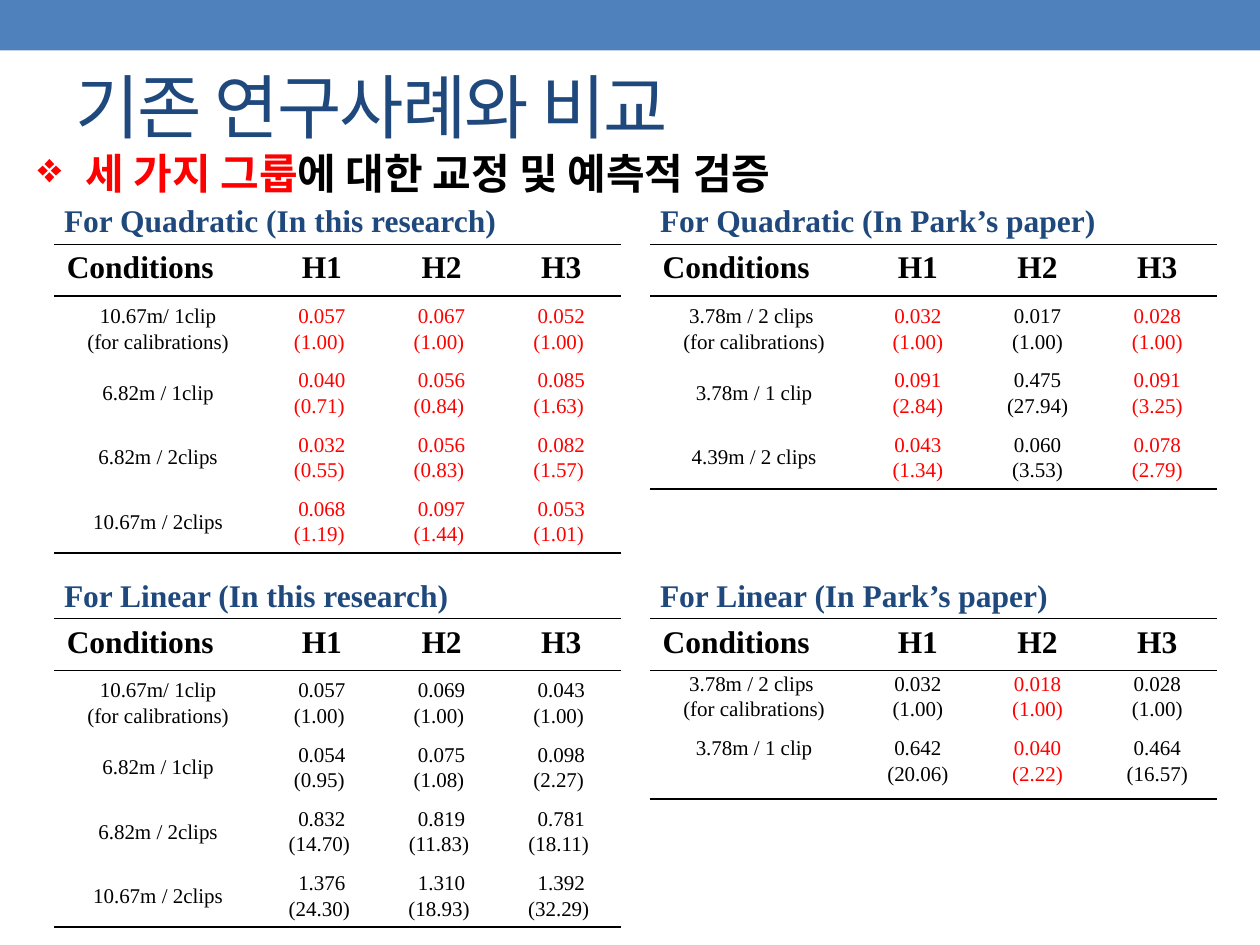
from lxml.etree import SubElement
from pptx import Presentation
from pptx.dml.color import RGBColor
from pptx.enum.shapes import MSO_SHAPE
from pptx.enum.text import MSO_ANCHOR, PP_ALIGN
from pptx.oxml.ns import qn
from pptx.util import Inches, Pt

BLUE = RGBColor(0x4F, 0x81, 0xBD)
NAVY = RGBColor(0x1F, 0x49, 0x7D)
RED = RGBColor(0xFF, 0, 0)
BLACK = RGBColor(0, 0, 0)
WHITE = RGBColor(0xFF, 0xFF, 0xFF)

SERIF = "Times New Roman"
KOREAN = "Noto Sans CJK KR"
PLAIN_STYLE = "{2D5ABB26-0587-4C30-8999-92F81FD0307C}"

COLUMN_LEFTS = (0.43, 5.16)
ROW_TOPS = (1.94, 4.91)
CONDITION_WIDTH, VALUE_WIDTH = 1.65, 0.95
HEADER_HEIGHT, BODY_HEIGHT = 0.41, 0.51

TITLE = {"size": Pt(40), "name": KOREAN, "bold": False}
TOPIC = {"size": Pt(24), "name": KOREAN, "bold": True}
HEADING = {"size": Pt(18), "name": SERIF, "bold": True}
BODY = {"size": Pt(12), "name": SERIF, "bold": False}

HEADERS = ("Conditions", "H1", "H2", "H3")
RESEARCH = {"ending": " ", "margin": 0.08}
PAPER = {"ending": "", "margin": 0.07}

COMPARISONS = (
    {"caption": "For Quadratic (In this research)", "column": 0, "row": 0,
     "red": (1, 2, 3), "anchor": MSO_ANCHOR.MIDDLE, **RESEARCH,
     "body": (("10.67m/ 1clip\n(for calibrations)", "0.057\n(1.00)", "0.067\n(1.00)", "0.052\n(1.00)"),
              ("6.82m / 1clip", "0.040\n(0.71)", "0.056\n(0.84)", "0.085\n(1.63)"),
              ("6.82m / 2clips", "0.032\n(0.55)", "0.056\n(0.83)", "0.082\n(1.57)"),
              ("10.67m / 2clips", "0.068\n(1.19)", "0.097\n(1.44)", "0.053\n(1.01)"))},
    {"caption": "For Quadratic (In Park’s paper)", "column": 1, "row": 0,
     "red": (1, 3), "anchor": MSO_ANCHOR.MIDDLE, **PAPER,
     "body": (("3.78m / 2 clips \n(for calibrations)", "0.032\n(1.00)", "0.017\n(1.00)", "0.028\n(1.00)"),
              ("3.78m / 1 clip", "0.091\n(2.84)", "0.475\n(27.94)", "0.091\n(3.25)"),
              ("4.39m / 2 clips", "0.043\n(1.34)", "0.060\n(3.53)", "0.078\n(2.79)"))},
    {"caption": "For Linear (In this research)", "column": 0, "row": 1,
     "red": (), "anchor": MSO_ANCHOR.MIDDLE, **RESEARCH,
     "body": (("10.67m/ 1clip\n(for calibrations)", "0.057\n(1.00)", "0.069\n(1.00)", "0.043\n(1.00)"),
              ("6.82m / 1clip", "0.054\n(0.95)", "0.075\n(1.08)", "0.098\n(2.27)"),
              ("6.82m / 2clips", "0.832\n(14.70)", "0.819\n(11.83)", "0.781\n(18.11)"),
              ("10.67m / 2clips", "1.376\n(24.30)", "1.310\n(18.93)", "1.392\n(32.29)"))},
    {"caption": "For Linear (In Park’s paper)", "column": 1, "row": 1,
     "red": (2,), "anchor": MSO_ANCHOR.TOP, **PAPER,
     "body": (("3.78m / 2 clips \n(for calibrations)", "0.032\n(1.00)", "0.018\n(1.00)", "0.028\n(1.00)"),
              ("3.78m / 1 clip", "0.642\n(20.06)", "0.040\n(2.22)", "0.464\n(16.57)"))},
)


def set_values(target, values):
    for name, value in values.items():
        setattr(target, name, value)


def add_run(paragraph, text, style, color):
    run = paragraph.add_run()
    run.text = text
    set_values(run.font, style)
    run.font.color.rgb = color
    if style["name"] == KOREAN:
        SubElement(run.font._element, qn("a:ea"), typeface=KOREAN)
    return run


def add_text_box(slide, left, top, width, height, anchor=MSO_ANCHOR.TOP):
    box = slide.shapes.add_textbox(Inches(left), Inches(top), Inches(width), Inches(height))
    set_values(box.text_frame, {"word_wrap": True, "vertical_anchor": anchor})
    return box.text_frame.paragraphs[0]


def add_banner(slide, width):
    banner = slide.shapes.add_shape(MSO_SHAPE.RECTANGLE, 0, 0, width, Inches(0.4))
    banner.shadow.inherit = False
    banner.fill.solid()
    banner.fill.fore_color.rgb = BLUE
    banner.line.fill.background()


def add_topic(slide):
    paragraph = add_text_box(slide, 0.2, 1.12, 9.4, 0.5)
    properties = paragraph._p.get_or_add_pPr()
    indent = Inches(0.38)
    properties.set("marL", str(indent))
    properties.set("indent", str(-indent))
    SubElement(properties, qn("a:buChar"), char="❖")
    add_run(paragraph, "세 가지 그룹", TOPIC, RED)
    add_run(paragraph, "에 대한 교정 및 예측적 검증", TOPIC, BLACK)


def add_borders(cell, sides):
    properties = cell._tc.get_or_add_tcPr()
    for side in sides:
        line = SubElement(properties, qn(f"a:ln{side}"), w=str(Pt(1)))
        fill = SubElement(line, qn("a:solidFill"))
        SubElement(fill, qn("a:srgbClr"), val=str(BLACK))


def fill_cell(cell, lines, style, color, layout, anchor, margins, sides):
    set_values(cell, {"vertical_anchor": anchor,
                      "margin_left": margins[0], "margin_right": margins[0],
                      "margin_top": margins[1], "margin_bottom": margins[1]})
    add_borders(cell, sides)
    cell.fill.solid()
    cell.fill.fore_color.rgb = WHITE
    for index, line in enumerate(lines):
        frame = cell.text_frame
        paragraph = frame.add_paragraph() if index else frame.paragraphs[0]
        set_values(paragraph, layout)
        add_run(paragraph, line, style, color)


def add_comparison(slide, comparison):
    left, top = COLUMN_LEFTS[comparison["column"]], ROW_TOPS[comparison["row"]]
    body = comparison["body"]
    caption = add_text_box(slide, left - 0.02, top - 0.39, 4.52, 0.4)
    add_run(caption, comparison["caption"], HEADING, NAVY)

    frame = slide.shapes.add_table(
        len(body) + 1, len(HEADERS), Inches(left), Inches(top),
        Inches(CONDITION_WIDTH + 3 * VALUE_WIDTH),
        Inches(HEADER_HEIGHT + len(body) * BODY_HEIGHT))
    table = frame.table
    set_values(table, {"first_row": False, "horz_banding": False})
    table._tbl.tblPr.find(qn("a:tableStyleId")).text = PLAIN_STYLE
    for index, column in enumerate(table.columns):
        column.width = Inches(VALUE_WIDTH if index else CONDITION_WIDTH)
    for index, row in enumerate(table.rows):
        row.height = Inches(BODY_HEIGHT if index else HEADER_HEIGHT)

    for index, header in enumerate(HEADERS):
        layout = {"alignment": PP_ALIGN.CENTER if index else PP_ALIGN.LEFT}
        fill_cell(table.cell(0, index), [header], HEADING, BLACK, layout,
                  MSO_ANCHOR.TOP, (Inches(0.1), Inches(0.05)), "TB")

    layout = {"alignment": PP_ALIGN.CENTER, "line_spacing": 1.1}
    margins = (Inches(comparison["margin"]), 0)
    for row, values in enumerate(body, 1):
        sides = "B" if row == len(body) else ""
        for column, value in enumerate(values):
            text = value + comparison["ending"] if column else value
            color = RED if column in comparison["red"] else BLACK
            fill_cell(table.cell(row, column), text.split("\n"), BODY, color,
                      layout, comparison["anchor"], margins, sides)


def add_title(slide):
    paragraph = add_text_box(slide, 0.5, 0.3, 9, 1.08, MSO_ANCHOR.MIDDLE)
    run = add_run(paragraph, "기존 연구사례와 비교", TITLE, NAVY)
    run.font._element.set("spc", "-100")


def main():
    presentation = Presentation()
    set_values(presentation, {"slide_width": Inches(10), "slide_height": Inches(7.5)})
    slide = presentation.slides.add_slide(presentation.slide_layouts[6])
    add_banner(slide, presentation.slide_width)
    add_topic(slide)
    for comparison in COMPARISONS:
        add_comparison(slide, comparison)
    add_title(slide)
    presentation.save("out.pptx")


if __name__ == "__main__":
    main()
